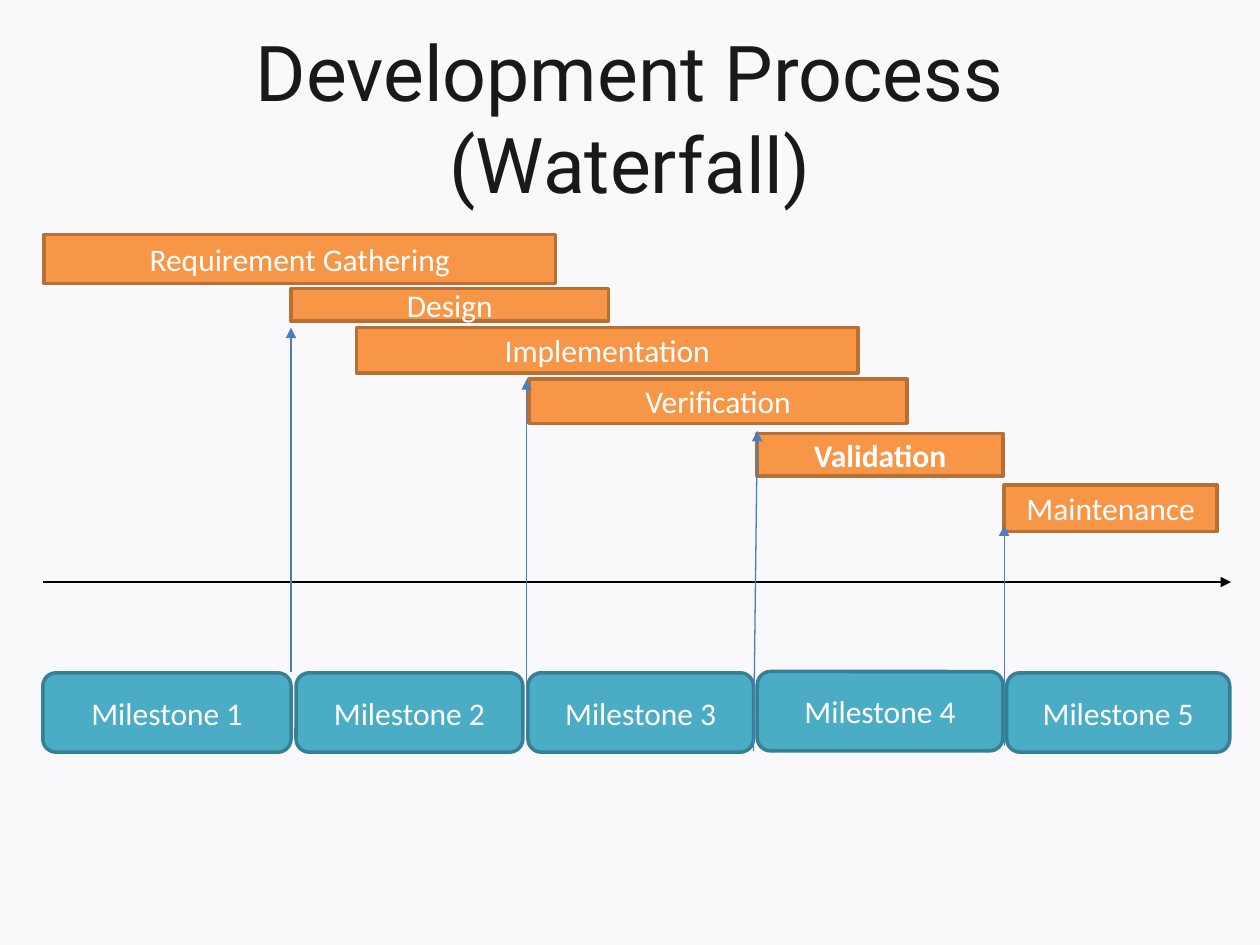
from lxml import etree
from pptx import Presentation
from pptx import util as u
from pptx.dml.color import RGBColor
from pptx.enum import shapes, text
from pptx.oxml.ns import qn

COLORS = {
    "background": "F9F9FB",
    "title": "191919",
    "label": "FFFFFF",
    "phase": "F79646",
    "phase_edge": "B76F34",
    "milestone": "4BACC6",
    "milestone_edge": "377F92",
    "timeline": "000000",
    "link": "4B7EBC",
}

PHASES = [
    ("Requirement Gathering", 0.35, 1.86, 4.06, 0.39),
    ("Design", 2.31, 2.29, 2.52, 0.26),
    ("Implementation", 2.83, 2.6, 3.98, 0.36),
    ("Verification", 4.2, 3.01, 3, 0.35),
    ("Maintenance", 7.97, 3.85, 1.69, 0.37),
    ("Validation", 6.01, 3.44, 1.95, 0.34),
]
MILESTONES = [
    (0.34, 5.34, 1.97),
    (2.35, 5.34, 1.8),
    (4.19, 5.34, 1.79),
    (6.01, 5.33, 1.95),
    (7.99, 5.34, 1.77),
]
MILESTONE_HEIGHT = 0.63
LINKS = [
    (2.31, 5.33, 2.31, 2.6),
    (4.18, 5.75, 4.18, 3.01),
    (5.98, 5.96, 6.01, 3.42),
    (7.97, 5.92, 7.97, 4.17),
]


def color(name):
    return RGBColor.from_string(COLORS[name])


def style_paragraph(paragraph, font_name, size, color_name, bold=False):
    paragraph.alignment = text.PP_ALIGN.CENTER
    font = paragraph.font
    font.name = font_name
    font.size = u.Pt(size)
    font.bold = bold
    font.color.rgb = color(color_name)


def add_title(slide, wording):
    title = slide.shapes.title
    title.left, title.top = u.Inches(0.5), u.Inches(0.3)
    title.width, title.height = u.Inches(9), u.Inches(1.25)
    frame = title.text_frame
    frame.text = wording
    frame.word_wrap = True
    frame.auto_size = text.MSO_AUTO_SIZE.NONE
    frame.vertical_anchor = text.MSO_ANCHOR.MIDDLE
    style_paragraph(frame.paragraphs[0], "Roboto", 44, "title")


def add_box(slide, preset, label, bounds, kind, bold=False):
    box = slide.shapes.add_shape(preset, *map(u.Inches, bounds))
    box.shadow.inherit = False
    box.fill.solid()
    box.fill.fore_color.rgb = color(kind)
    box.line.color.rgb = color(f"{kind}_edge")
    box.line.width = u.Pt(2)
    frame = box.text_frame
    frame.text = label
    frame.word_wrap = True
    frame.vertical_anchor = text.MSO_ANCHOR.MIDDLE
    style_paragraph(frame.paragraphs[0], "Calibri", 18, "label", bold)


def add_arrow(slide, ends, color_name):
    arrow = slide.shapes.add_connector(
        shapes.MSO_CONNECTOR.STRAIGHT, *map(u.Inches, ends)
    )
    arrow.line.color.rgb = color(color_name)
    arrow.line.width = u.Pt(0.75)
    properties = arrow.element.spPr
    etree.SubElement(properties.find(qn("a:ln")), qn("a:tailEnd"), type="triangle")
    etree.SubElement(properties, qn("a:effectLst"))


def main():
    deck = Presentation()
    deck.slide_width, deck.slide_height = u.Inches(10), u.Inches(7.5)
    slide = deck.slides.add_slide(deck.slide_layouts[5])
    slide.background.fill.solid()
    slide.background.fill.fore_color.rgb = color("background")

    add_title(slide, "Development Process (Waterfall)")
    for phase, *bounds in PHASES:
        add_box(slide, shapes.MSO_SHAPE.RECTANGLE, phase, bounds, "phase",
                bold=phase == "Validation")
    for number, (left, top, width) in enumerate(MILESTONES, start=1):
        add_box(slide, shapes.MSO_SHAPE.ROUNDED_RECTANGLE, f"Milestone {number}",
                (left, top, width, MILESTONE_HEIGHT), "milestone")
    add_arrow(slide, (0.34, 4.62, 9.77, 4.62), "timeline")
    for ends in LINKS:
        add_arrow(slide, ends, "link")

    deck.save("out.pptx")


if __name__ == "__main__":
    main()
